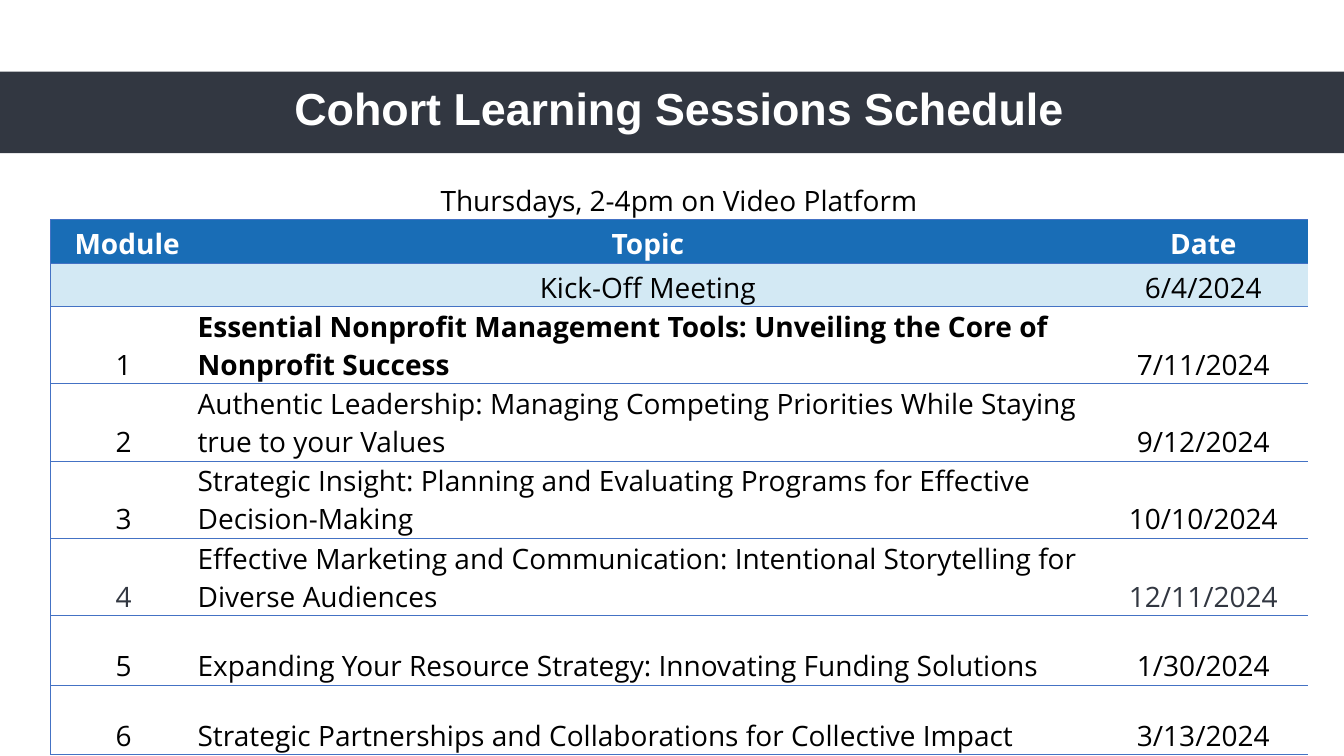
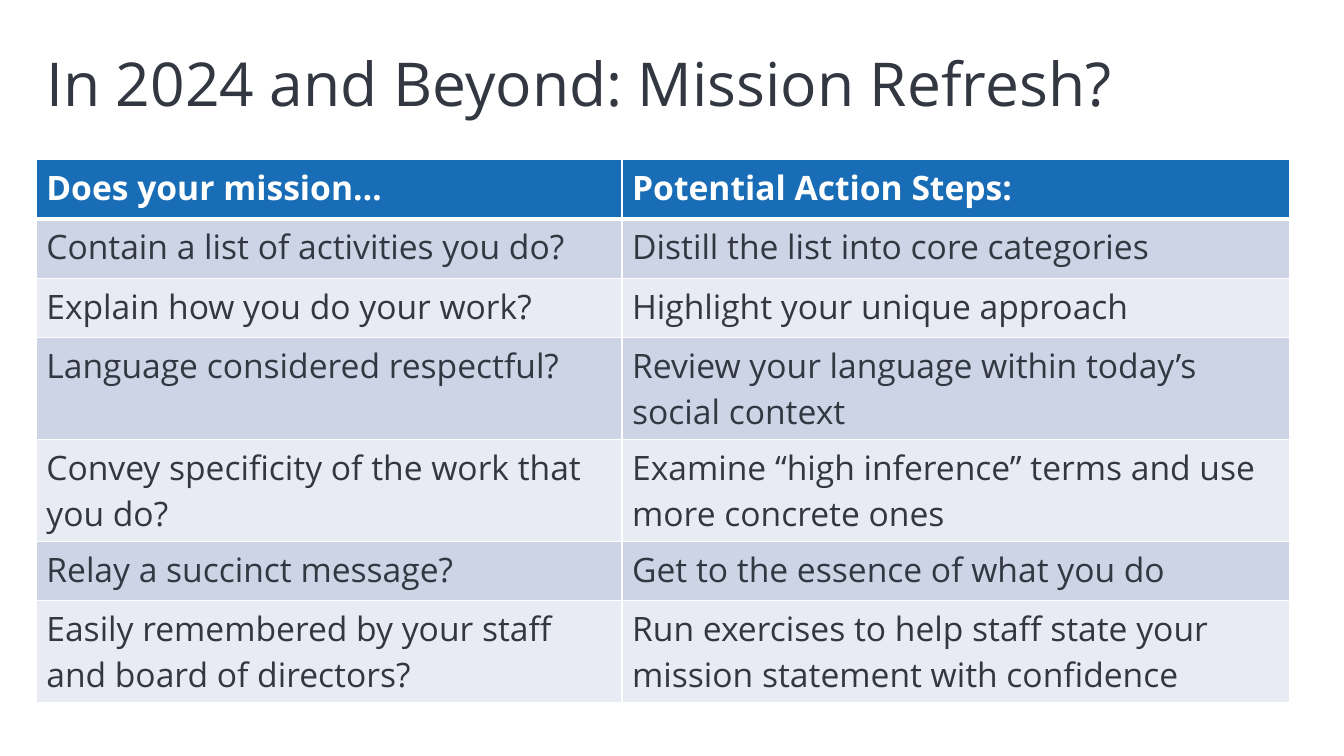
import dataclasses

import pptx
import pptx.dml.color
import pptx.enum.shapes
import pptx.enum.text
import pptx.oxml
import pptx.oxml.ns
import pptx.util

EMU_PER_PX = 9144
NO_TABLE_STYLE = "{2D5ABB26-0587-4C30-8999-92F81FD0307C}"
CENTER = pptx.enum.text.PP_ALIGN.CENTER
LEFT = pptx.enum.text.PP_ALIGN.LEFT
MIDDLE = pptx.enum.text.MSO_ANCHOR.MIDDLE
BOTTOM = pptx.enum.text.MSO_ANCHOR.BOTTOM
TOP = pptx.enum.text.MSO_ANCHOR.TOP


@dataclasses.dataclass(frozen=True)
class Theme:
    """Colours, fonts and type sizes of the deck."""

    ink: str = "323741"
    black: str = "000000"
    white: str = "FFFFFF"
    header: str = "196DB6"
    kickoff: str = "D3E9F4"
    rule: str = "4472C4"
    bands: tuple = ("CCD4E5", "E8EBF3")
    body_font: str = "Open Sans"
    band_font: str = "Arial"
    band_title_size: float = 32
    title_size: float = 43.2
    schedule_size: float = 20
    action_size: float = 24


def px(length):
    """Turn px into EMU."""
    return pptx.util.Emu(length * EMU_PER_PX)


def rgb(colour):
    """Turn a hex string into a colour."""
    return pptx.dml.color.RGBColor.from_string(colour)


def apply(target, values):
    """Set each attribute named in a dict of format values."""
    for name, value in values.items():
        setattr(target, name, value)


class Deck:
    """Holds the theme, the presentation and the current slide."""

    def __init__(self, theme):
        """Start an empty widescreen presentation."""
        self.theme = theme
        self.presentation = pptx.Presentation()
        apply(self.presentation, {"slide_width": px(1333), "slide_height": px(750)})
        self.slide = None

    def add_slide(self):
        """Open a new slide with a title only."""
        layout = self.presentation.slide_layouts.get_by_name("Title Only")
        self.slide = self.presentation.slides.add_slide(layout)

    def add_text(self, paragraph, text, colour, align, font):
        """Add one formatted run to a paragraph."""
        paragraph.alignment = align
        run = paragraph.add_run()
        run.text = text
        apply(run.font, font)
        run.font.color.rgb = rgb(colour)

    def title(self, text, at, colour, align, font):
        """Place and format the title placeholder."""
        title = self.slide.shapes.title
        apply(title, dict(zip(("left", "top", "width", "height"), map(px, at))))
        apply(title.text_frame, {
            "vertical_anchor": MIDDLE,
            "word_wrap": True,
            "auto_size": pptx.enum.text.MSO_AUTO_SIZE.NONE,
        })
        paragraph = title.text_frame.paragraphs[0]
        paragraph.line_spacing = 0.9
        self.add_text(paragraph, text, colour, align, font)

    def band(self, at, colour):
        """Draw a filled band behind the title."""
        rectangle = pptx.enum.shapes.MSO_SHAPE.RECTANGLE
        band = self.slide.shapes.add_shape(rectangle, *map(px, at))
        band.shadow.inherit = False
        band.fill.solid()
        band.fill.fore_color.rgb = rgb(colour)
        band.line.fill.background()
        self.slide.shapes.title.element.addprevious(band.element)

    def borders(self, cell_element, lines):
        """Give a cell its lines, keyed by side in schema order."""
        properties = cell_element.get_or_add_tcPr()
        for position, side in enumerate(s for s in "LRTB" if s in lines):
            colour, points = lines[side]
            properties.insert(position, pptx.oxml.parse_xml(
                f'<a:ln{side} {pptx.oxml.ns.nsdecls("a")} w="{pptx.util.Pt(points)}">'
                f'<a:solidFill><a:srgbClr val="{colour}"/></a:solidFill></a:ln{side}>'
            ))

    def table(self, corner, widths, heights, rows, look):
        """Draw a table whose cell formats come from look(row, column)."""
        size = (sum(widths), sum(heights))
        frame = self.slide.shapes.add_table(
            len(rows), len(widths), *map(px, corner + size))
        table = frame.table
        apply(table, {"first_row": False, "horz_banding": False})
        for style in frame.element.iter(pptx.oxml.ns.qn("a:tableStyleId")):
            style.text = NO_TABLE_STYLE
        for column, width in zip(table.columns, widths):
            column.width = px(width)
        for row, height in zip(table.rows, heights):
            row.height = px(height)
        elements = frame.element.iter(pptx.oxml.ns.qn("a:tc"))
        for index, element in enumerate(elements):
            row, column = divmod(index, len(widths))
            cell = table.cell(row, column)
            style = look(row, column)
            apply(cell, style["cell"])
            cell.fill.solid()
            cell.fill.fore_color.rgb = rgb(style["fill"])
            if rows[row][column]:
                self.add_text(cell.text_frame.paragraphs[0], rows[row][column],
                              style["colour"], style["align"], style["font"])
            self.borders(element, style["lines"])
        return table


SCHEDULE = [
    ("Thursdays, 2-4pm on Video Platform", "", ""),
    (" Module", "Topic", "Date"),
    ("", "Kick-Off Meeting", "6/4/2024"),
    ("1", "Essential Nonprofit Management Tools: Unveiling the Core of Nonprofit Success", "7/11/2024"),
    ("2", "Authentic Leadership: Managing Competing Priorities While Staying true to your Values", "9/12/2024"),
    ("3", "Strategic Insight: Planning and Evaluating Programs for Effective Decision-Making", "10/10/2024"),
    ("4", "Effective Marketing and Communication: Intentional Storytelling for Diverse Audiences", "12/11/2024"),
    ("5", "Expanding Your Resource Strategy: Innovating Funding Solutions", "1/30/2024"),
    ("6", "Strategic Partnerships and Collaborations for Collective Impact", "3/13/2024"),
]

ACTIONS = [
    ("Does your mission…", "Potential Action Steps:"),
    ("Contain a list of activities you do?", "Distill the list into core categories"),
    ("Explain how you do your work?", "Highlight your unique approach"),
    ("Language considered respectful?", "Review your language within today’s social context"),
    ("Convey specificity of the work that you do?", "Examine “high inference” terms and use more concrete ones"),
    ("Relay a succinct message?", "Get to the essence of what you do"),
    ("Easily remembered by your staff and board of directors?",
     "Run exercises to help staff state your mission statement with confidence"),
]


def schedule_slide(deck):
    """Build the schedule of sessions."""
    theme = deck.theme
    caption, header, kickoff, first_module, fourth_module = 0, 1, 2, 3, 6
    topic = 1
    rule = (theme.rule, 0.5)

    def look(row, column):
        """Format one schedule cell."""
        colour = theme.white if row == header else theme.black
        if row == fourth_module and column != topic:
            colour = theme.ink
        lines = {"B": rule}
        if row > caption:
            lines["T"] = rule
            if column == 0:
                lines["L"] = rule
        return {
            "cell": {"vertical_anchor": BOTTOM, "margin_left": px(1),
                     "margin_right": px(1), "margin_top": px(1), "margin_bottom": 0},
            "fill": {header: theme.header, kickoff: theme.kickoff}.get(row, theme.white),
            "colour": colour,
            "align": LEFT if row >= first_module and column == topic else CENTER,
            "font": {"name": theme.body_font, "size": pptx.util.Pt(theme.schedule_size),
                     "bold": row == header or (row, column) == (first_module, topic)},
            "lines": lines,
        }

    deck.add_slide()
    deck.band((0, 71, 1333, 81), theme.ink)
    deck.title("Cohort Learning Sessions Schedule", (61, 70, 1226, 81), theme.white, CENTER,
               {"name": theme.band_font, "size": pptx.util.Pt(theme.band_title_size), "bold": True})
    sessions = deck.table((50, 179), (145, 895, 207), (35, 43, 43) + (69,) * 6, SCHEDULE, look)
    sessions.cell(caption, 0).merge(sessions.cell(caption, 2))


def mission_slide(deck):
    """Build the mission questions and action steps."""
    theme = deck.theme

    def look(row, column):
        """Format one mission cell."""
        header = row == 0
        lines = {side: (theme.white, 1) for side in "LRTB"}
        if header:
            lines["B"] = (theme.white, 3)
        elif row == 1:
            lines["T"] = (theme.white, 3)
        return {
            "cell": {"vertical_anchor": TOP},
            "fill": theme.header if header else theme.bands[(row - 1) % 2],
            "colour": theme.white if header else theme.ink,
            "align": LEFT,
            "font": {"name": theme.body_font, "size": pptx.util.Pt(theme.action_size), "bold": header},
            "lines": lines,
        }

    deck.add_slide()
    deck.title("In 2024 and Beyond: Mission Refresh?", (36, 14, 1150, 145), theme.ink, LEFT,
               {"name": theme.body_font, "size": pptx.util.Pt(theme.title_size)})
    deck.table((36, 158), (581, 662), (59,) * len(ACTIONS), ACTIONS, look)


def main():
    """Build and save the deck."""
    deck = Deck(Theme())
    schedule_slide(deck)
    mission_slide(deck)
    deck.presentation.save("out.pptx")


if __name__ == "__main__":
    main()
